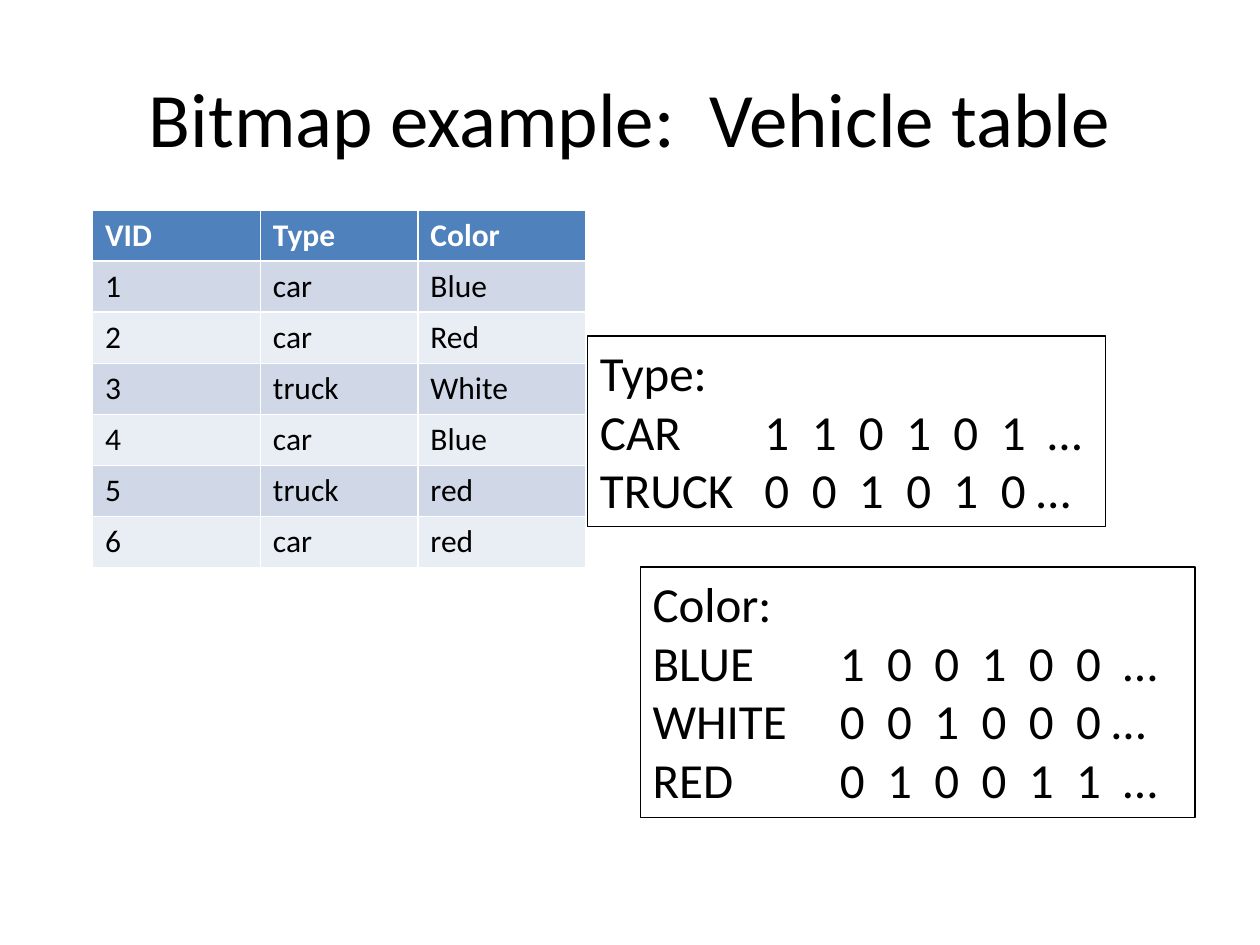
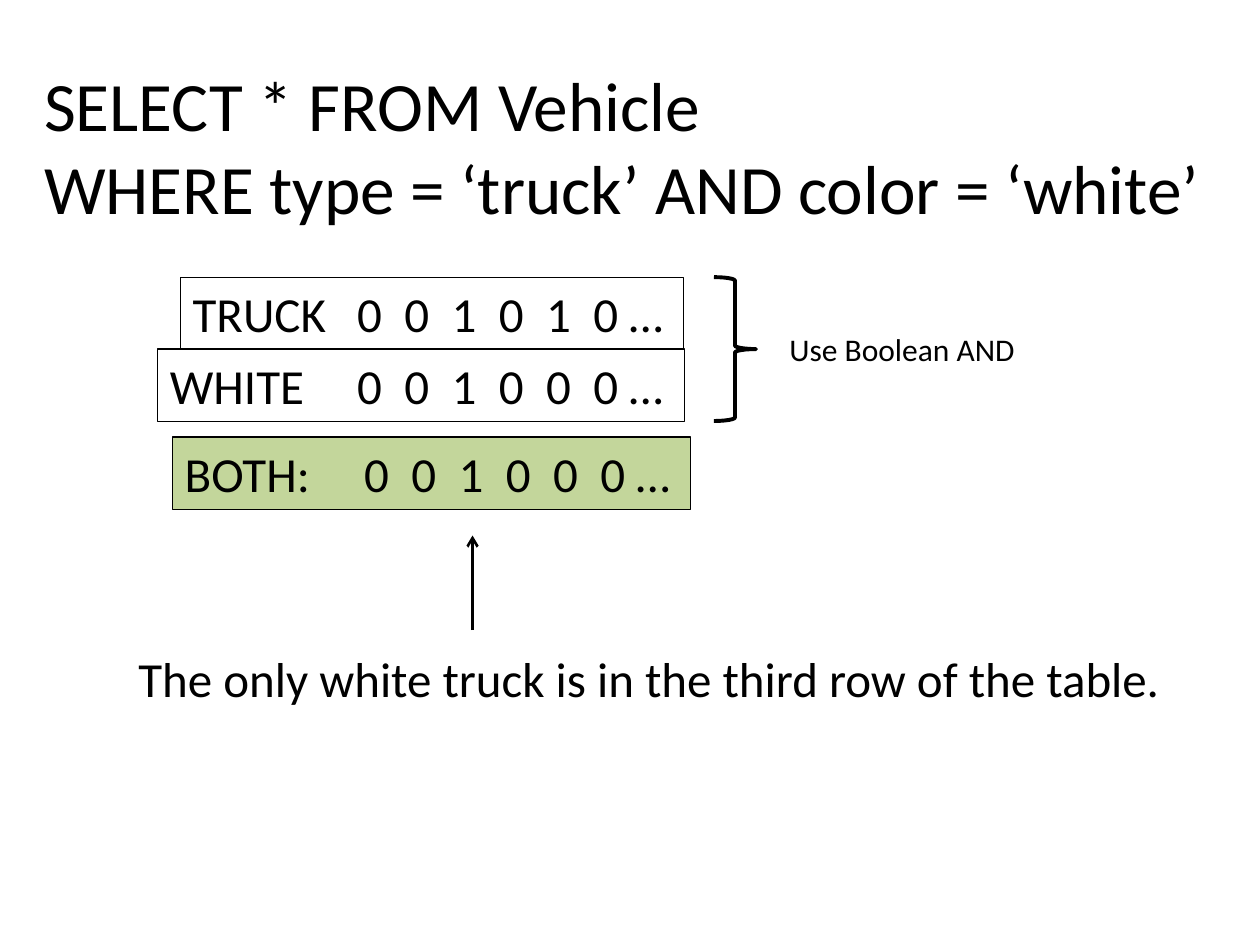
import lxml.etree
import pptx
import pptx.dml.color
import pptx.enum.shapes
import pptx.enum.text
import pptx.oxml.ns
import pptx.util

Pt = pptx.util.Pt
FONT = "Calibri"
BLACK, WHITE, GREEN = "000000", "FFFFFF", "C3D69B"
HEADER, BAND_DARK, BAND_LIGHT = "4F81BD", "D0D8E8", "E9EDF4"
LEFT = pptx.enum.text.PP_ALIGN.LEFT
CENTER = pptx.enum.text.PP_ALIGN.CENTER
BIT_PITCH = 27
TRUCK_ROW = ("TRUCK", "001010", " …")
WHITE_ROW = ("WHITE", "001000", " …")
VEHICLES = [
    ("VID", "Type", "Color"),
    ("1", "car", "Blue"),
    ("2", "car", "Red"),
    ("3", "truck", "White"),
    ("4", "car", "Blue"),
    ("5", "truck", "red"),
    ("6", "car", "red"),
]


def colour(code):
    """Turn a hex string into a colour."""
    return pptx.dml.color.RGBColor.from_string(code)


def add_effect_free(shape):
    """Drop the theme shadow of a connector."""
    lxml.etree.SubElement(shape._element.spPr, pptx.oxml.ns.qn("a:effectLst"))


def style(para, size, code=BLACK, bold=False):
    """Set the font of a paragraph."""
    para.font.name = FONT
    para.font.size = Pt(size)
    para.font.bold = bold
    para.font.color.rgb = colour(code)


def outline(shape, width):
    """Give a shape a black line."""
    shape.line.color.rgb = colour(BLACK)
    shape.line.width = Pt(width)


def add_page(deck, title, place, size, align):
    """Add a page with its title."""
    page = deck.slides.add_slide(deck.slide_layouts[5])
    box = page.shapes.title
    box.left, box.top, box.width, box.height = map(Pt, place)
    frame = box.text_frame
    frame.text = title
    frame.auto_size = pptx.enum.text.MSO_AUTO_SIZE.NONE
    frame.vertical_anchor = pptx.enum.text.MSO_ANCHOR.MIDDLE
    for para in frame.paragraphs:
        para.alignment = align
        style(para, size)
    return page


def add_text(page, place, lines, size):
    """Add a text box with one paragraph a line."""
    box = page.shapes.add_textbox(*map(Pt, place))
    box.text_frame.word_wrap = True
    box.text_frame.text = "\n".join(lines)
    for para in box.text_frame.paragraphs:
        style(para, size)
    return box


def set_tabs(para, first, count):
    """Put evenly spaced tab stops on a paragraph."""
    properties = para._p.get_or_add_pPr()
    tabs = lxml.etree.Element(pptx.oxml.ns.qn("a:tabLst"))
    for index in range(count):
        tab = lxml.etree.SubElement(tabs, pptx.oxml.ns.qn("a:tab"))
        tab.set("pos", str(Pt(first + index * BIT_PITCH)))
        tab.set("algn", "l")
    properties.insert(0, tabs)


def add_bitmap(page, place, rows, first_tab, heading=None, fill=None):
    """Add an outlined box of labelled bit rows."""
    lines = [heading] if heading else []
    lines += ["\t".join([label, *bits]) + ending for label, bits, ending in rows]
    box = add_text(page, place, lines, 28)
    for para in box.text_frame.paragraphs:
        set_tabs(para, first_tab, 7)
    outline(box, 0.75)
    if fill:
        box.fill.solid()
        box.fill.fore_color.rgb = colour(fill)


def add_vehicle_table(page, place, widths):
    """Add the banded table of vehicles."""
    table = page.shapes.add_table(len(VEHICLES), len(widths), *map(Pt, place)).table
    for column, width in zip(table.columns, widths):
        column.width = Pt(width)
    for r, row in enumerate(VEHICLES):
        for c, value in enumerate(row):
            cell = table.cell(r, c)
            cell.text = value
            cell.fill.solid()
            band = BAND_DARK if r % 2 else BAND_LIGHT
            cell.fill.fore_color.rgb = colour(band if r else HEADER)
            style(cell.text_frame.paragraphs[0], 18, BLACK if r else WHITE, r == 0)


def add_brace(page, place):
    """Add a right brace."""
    kind = pptx.enum.shapes.MSO_SHAPE.RIGHT_BRACE
    brace = page.shapes.add_shape(kind, *map(Pt, place))
    brace.shadow.inherit = False
    brace.fill.background()
    outline(brace, 2.25)


def add_arrow(page, start, end):
    """Add an arrow that points at its end."""
    kind = pptx.enum.shapes.MSO_CONNECTOR.STRAIGHT
    arrow = page.shapes.add_connector(kind, *map(Pt, start + end))
    outline(arrow, 1.5)
    head = lxml.etree.SubElement(arrow.line._get_or_add_ln(), pptx.oxml.ns.qn("a:tailEnd"))
    head.set("type", "arrow")
    add_effect_free(arrow)


def build_example(deck):
    """Build the page with the table and its bitmaps."""
    page = add_page(deck, "Bitmap example:  Vehicle table", (36, 21.6, 648, 90), 44, CENTER)
    add_vehicle_table(page, (52.8, 120, 282, 204.4), (96, 90, 96))
    colours = [("BLUE", "100100", "\t…"), WHITE_ROW, ("RED", "010011", "\t…")]
    add_bitmap(page, (365.8, 324, 317, 143.3), colours, 107, "Color:")
    types = [("CAR", "110101", "\t…"), TRUCK_ROW]
    add_bitmap(page, (335.8, 192, 296, 109), types, 94, "Type:")


def build_query(deck):
    """Build the page that combines two bitmaps."""
    title = "SELECT * FROM Vehicle\vWHERE type = ‘truck’ AND color = ‘white’"
    page = add_page(deck, title, (18, 21.6, 684, 122.4), 39.6, LEFT)
    add_bitmap(page, (90, 199.5, 301, 41.2), [WHITE_ROW], 107)
    add_bitmap(page, (103, 158.4, 287.5, 41.2), [TRUCK_ROW], 94)
    add_bitmap(page, (98.5, 249.8, 296, 41.2), [("BOTH:", "001000", " …")], 102.5, fill=GREEN)
    add_text(page, (444, 185, 192, 29), ["Use Boolean AND"], 18)
    add_brace(page, (408, 158.4, 24, 82.2))
    add_arrow(page, (270, 360), (270, 306))
    sentence = "The only white truck is in the third row of the table."
    add_text(page, (72, 367.2, 605, 41.2), [sentence], 28)


def main():
    """Build and save the deck."""
    deck = pptx.Presentation()
    deck.slide_width, deck.slide_height = Pt(720), Pt(540)
    build_example(deck)
    build_query(deck)
    deck.save("out.pptx")


main()
